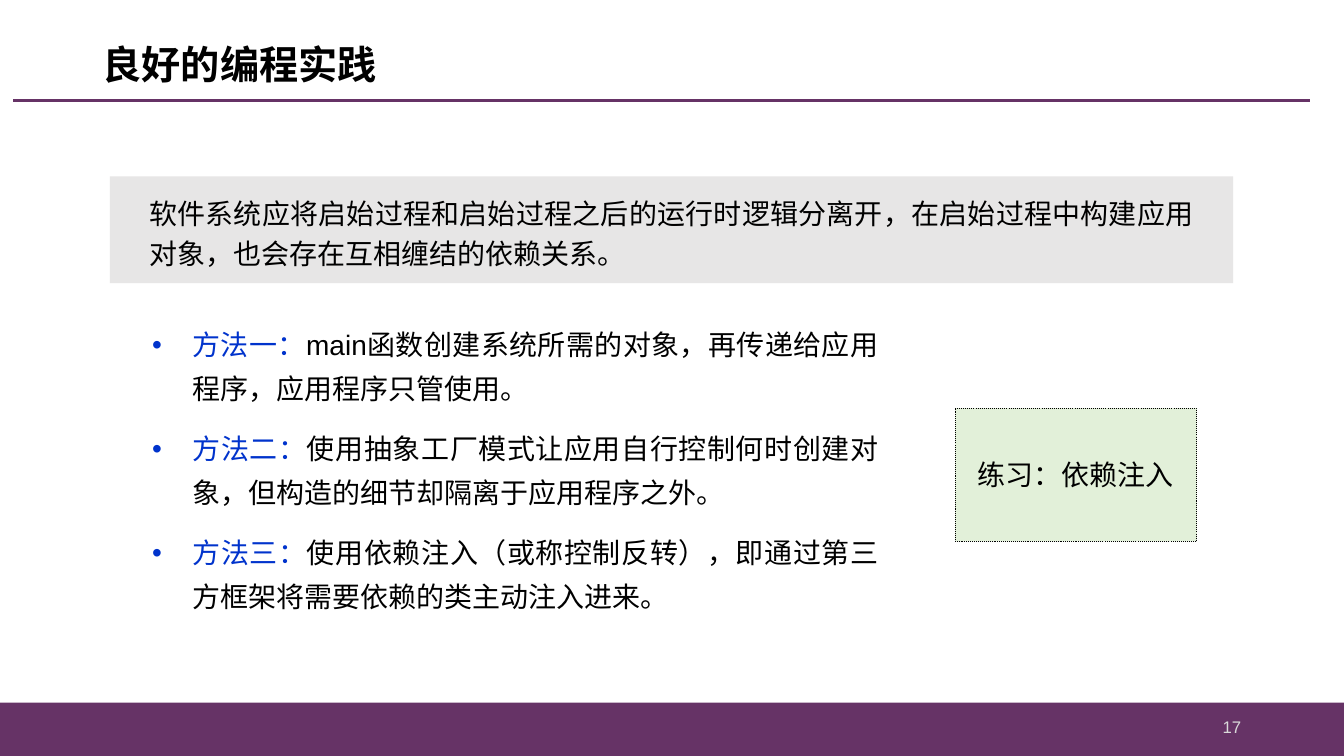
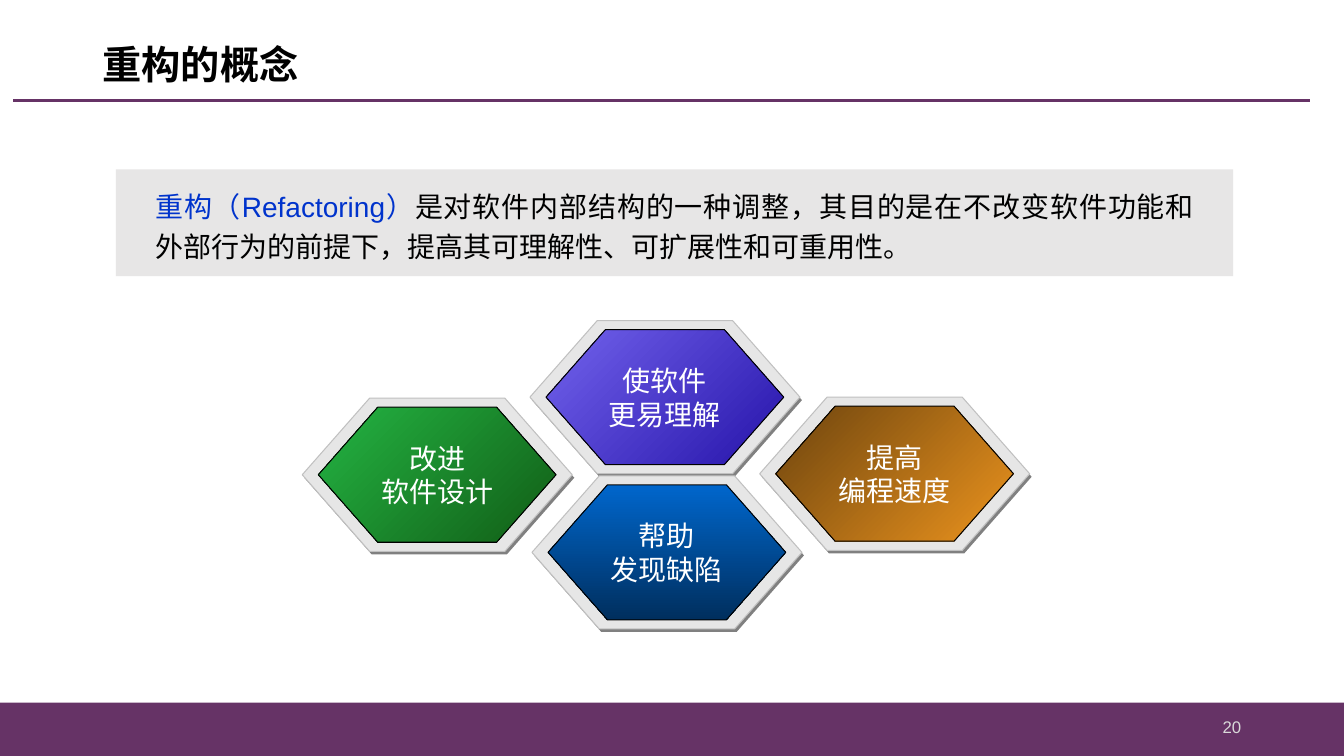
import lxml.etree
import pptx
import pptx.dml.color
import pptx.enum.shapes
import pptx.enum.dml
import pptx.enum.text
import pptx.oxml.ns
import pptx.util

PX = 9144  # EMU in one px, 100 px to the inch
SIZE = (1334, 750)

PLUM, GREY, BLUE = "663366", "E7E6E6", "0033CC"
BLACK, WHITE, PALE, MINT = "000000", "FFFFFF", "D9D9D9", "E2F0D9"
SHADE, PLATE, EDGE = "808080", "E6E6E6", "C0C0C0"
SANS, HEAD, HAN = "Arial", "Calibri", "Noto Sans CJK SC"

SHAPE = pptx.enum.shapes.MSO_SHAPE
ALIGN = pptx.enum.text.PP_ALIGN
MIDDLE = pptx.enum.text.MSO_ANCHOR.MIDDLE
TOP = pptx.enum.text.MSO_ANCHOR.TOP


def px(*nums):
    return [pptx.util.Emu(n * PX) for n in nums]


def paint(color, code):
    color.rgb = pptx.dml.color.RGBColor.from_string(code)


def tag(parent, name, **attrs):
    return lxml.etree.SubElement(parent, pptx.oxml.ns.qn(name), attrs)


# Text

def bullet(para, code):
    props = para._p.get_or_add_pPr()
    left, hang = px(49, -40)
    props.set("marL", str(left))
    props.set("indent", str(hang))
    tag(tag(props, "a:buClr"), "a:srgbClr", val=code)
    tag(props, "a:buFont", typeface=SANS)
    tag(props, "a:buChar", char="•")


def write(frame, paras, size=20, font=SANS, align=ALIGN.LEFT, pitch=None,
          gap=0, bold=False, mark=None, pad=(10, 5), anchor=TOP, wrap=True):
    """Fill a frame; each paragraph is a list of (text, color) runs."""
    frame.auto_size = pptx.enum.text.MSO_AUTO_SIZE.NONE
    frame.word_wrap, frame.vertical_anchor = wrap, anchor
    frame.margin_left, frame.margin_top = px(*pad)
    frame.margin_right, frame.margin_bottom = px(*pad)
    for num, parts in enumerate(paras):
        para = frame.add_paragraph() if num else frame.paragraphs[0]
        if mark:
            bullet(para, mark)
        para.alignment = align
        para.space_before = pptx.util.Pt(gap if num else 0)
        if pitch:
            para.line_spacing = pitch
        for text, code in parts:
            run = para.add_run()
            run.text = text
            run.font.size = pptx.util.Pt(size)
            run.font.name = font
            run.font.bold = bold
            paint(run.font.color, code)
            tag(run._r.get_or_add_rPr(), "a:ea", typeface=HEAD)


def label(slide, spot, paras, **style):
    frame = slide.shapes.add_textbox(*px(*spot)).text_frame
    write(frame, paras, **style)


# Shapes

def block(home, kind, spot, fill=None, line=None):
    shape = home.shapes.add_shape(kind, *px(*spot))
    shape.shadow.inherit = False
    if fill:
        shape.fill.solid()
        paint(shape.fill.fore_color, fill)
    if line:
        paint(shape.line.color, line)
        shape.line.width = pptx.util.Pt(0.75)
    else:
        shape.line.fill.background()
    return shape


def note(slide, spot, parts):
    box = block(slide, SHAPE.RECTANGLE, spot, GREY)
    write(box.text_frame, [parts], align=ALIGN.JUSTIFY, pitch=1.2, pad=(39, 13))


def hexa(home, *args):
    shape = block(home, SHAPE.HEXAGON, *args)
    shape.adjustments[0] = 0.44
    return shape


def badge(slide, left, top, lines, stops, angle):
    """A hexagon on a raised plate, with its words inside."""
    group = slide.shapes.add_group_shape()
    hexa(group, (left + 2, top + 3, 268, 152), SHADE)
    hexa(group, (left, top, 268, 152), PLATE, EDGE)
    core = hexa(group, (left + 16, top + 9, 236, 134), None, BLACK)
    core.fill.gradient()
    core.fill.gradient_angle = angle
    for stop, code in zip(core.fill.gradient_stops, stops):
        paint(stop.color, code)
    write(core.text_frame, [[(line, WHITE)] for line in lines], font=HAN,
          align=ALIGN.CENTER, pad=(0, 0), anchor=MIDDLE, wrap=False)


# Shared frame: band, rule, title, page number

def page(deck, title, num):
    slide = deck.slides.add_slide(deck.slide_layouts[5])
    block(slide, SHAPE.RECTANGLE, (0, 697, SIZE[0], 53), PLUM)
    rule = slide.shapes.add_connector(
        pptx.enum.shapes.MSO_CONNECTOR.STRAIGHT, *px(13, 100, 1300, 100))
    paint(rule.line.color, PLUM)
    rule.line.width = pptx.util.Pt(2.25)
    tag(rule._element.spPr, "a:effectLst")
    head = slide.shapes.title
    head.left, head.top, head.width, head.height = px(92, 30, 1150, 73)
    write(head.text_frame, [[(title, BLACK)]], size=28, font=HEAD,
          pitch=0.9, bold=True, anchor=MIDDLE)
    label(slide, (942, 701, 300, 40), [[(num, PALE)]], size=12,
          align=ALIGN.RIGHT, anchor=MIDDLE)
    return slide


# Slides

def habits(deck):
    slide = page(deck, "良好的编程实践", "17")
    note(slide, (109, 175, 1115, 106), [(
        "软件系统应将启始过程和启始过程之后的运行时逻辑分离开，"
        "在启始过程中构建应用对象，也会存在互相缠结的依赖关系。", BLACK)])
    ways = [
        ("方法一：", "main函数创建系统所需的对象，再传递给应用程序，应用程序只管使用。"),
        ("方法二：", "使用抽象工厂模式让应用自行控制何时创建对象，但构造的细节却隔离于应用程序之外。"),
        ("方法三：", "使用依赖注入（或称控制反转），即通过第三方框架将需要依赖的类主动注入进来。"),
    ]
    label(slide, (134, 307, 746, 309),
          [[(name, BLUE), (text, BLACK)] for name, text in ways],
          align=ALIGN.JUSTIFY, pitch=1.3, gap=12, mark=BLUE, pad=(8, 8))
    task = block(slide, SHAPE.RECTANGLE, (948, 405, 240, 132), MINT, BLACK)
    task.line.dash_style = pptx.enum.dml.MSO_LINE.ROUND_DOT
    write(task.text_frame, [[("练习：依赖注入", BLACK)]], font=HEAD,
          align=ALIGN.CENTER, anchor=MIDDLE, wrap=False)


def concept(deck):
    slide = page(deck, "重构的概念", "20")
    note(slide, (115, 168, 1109, 106), [
        ("重构（Refactoring）", BLUE),
        ("是对软件内部结构的一种调整，其目的是在不改变软件功能和"
         "外部行为的前提下，提高其可理解性、可扩展性和可重用性。", BLACK)])
    goals = [
        (526, 318, ("使软件", "更易理解"), ("2614AA", "7262EC"), 135),
        (300, 395, ("改进", "软件设计"), ("115D16", "24B443"), 135),
        (754, 394, ("提高", "编程速度"), ("EC941E", "6D440E"), 135),
        (528, 472, ("帮助", "发现缺陷"), ("0066CC", "002F5E"), 270),
    ]
    for goal in goals:
        badge(slide, *goal)


def main():
    deck = pptx.Presentation()
    deck.slide_width, deck.slide_height = px(*SIZE)
    habits(deck)
    concept(deck)
    deck.save("out.pptx")


if __name__ == "__main__":
    main()
